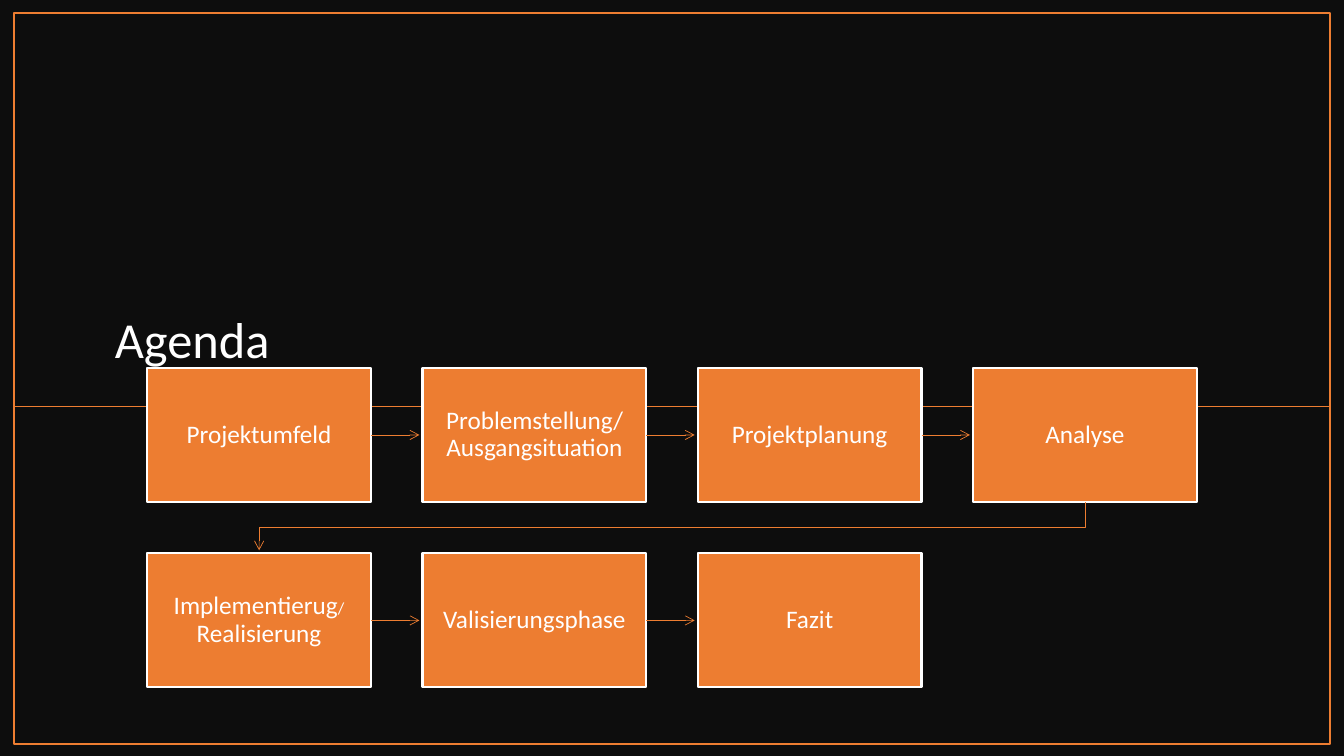
import pptx
import pptx.dml.color
import pptx.enum.shapes
import pptx.enum.text
import pptx.oxml.ns
import pptx.oxml.xmlchemy
import pptx.util

Inches = pptx.util.Inches
Pt = pptx.util.Pt

COLORS = {"background": "0D0D0D", "accent": "ED7D31", "text": "FFFFFF"}
FONT = "Calibri"

COLUMNS = 4
BOX_LEFT, BOX_TOP = 1.46, 3.65
BOX_WIDTH, BOX_HEIGHT = 2.22, 1.33
COLUMN_STEP, ROW_STEP = 2.73, 1.84
ARROW_GAP = 0.03

# Each step is a list of (text, size) runs.
STEPS = [
    [("Projektumfeld", 18)],
    [("Problemstellung/Ausgangsituation", 18)],
    [("Projektplanung", 18)],
    [("Analyse", 18)],
    [("Implementierug", 18), ("/", 12), ("Realisierung", 18)],
    [("Valisierungsphase", 18)],
    [("Fazit", 18)],
]


def rgb(name):
    return pptx.dml.color.RGBColor.from_string(COLORS[name])


def set_line(shape, color, width):
    shape.line.color.rgb = rgb(color)
    shape.line.width = Pt(width)


def add_arrowhead(shape):
    tail = pptx.oxml.xmlchemy.OxmlElement("a:tailEnd")
    tail.set("type", "arrow")
    shape.element.spPr.find(pptx.oxml.ns.qn("a:ln")).append(tail)


def add_runs(paragraph, runs):
    paragraph.line_spacing = 0.9
    for text, size in runs:
        run = paragraph.add_run()
        run.text = text
        run.font.name = FONT
        run.font.size = Pt(size)
        run.font.color.rgb = rgb("text")


def add_rectangle(slide, left, top, width, height, fill=None, line=None, line_width=1):
    shape = slide.shapes.add_shape(
        pptx.enum.shapes.MSO_SHAPE.RECTANGLE,
        Inches(left), Inches(top), Inches(width), Inches(height))
    shape.shadow.inherit = False
    if fill:
        shape.fill.solid()
        shape.fill.fore_color.rgb = rgb(fill)
    else:
        shape.fill.background()
    if line:
        set_line(shape, line, line_width)
    else:
        shape.line.fill.background()
    return shape


def add_line(slide, start, end, width):
    connector = slide.shapes.add_connector(
        pptx.enum.shapes.MSO_CONNECTOR.STRAIGHT,
        Inches(start[0]), Inches(start[1]), Inches(end[0]), Inches(end[1]))
    set_line(connector, "accent", width)
    connector.element.spPr.append(pptx.oxml.xmlchemy.OxmlElement("a:effectLst"))
    return connector


def add_title(slide, text):
    box = slide.shapes.add_textbox(Inches(1.04), Inches(1.88), Inches(11.21), Inches(1.83))
    frame = box.text_frame
    frame.word_wrap = True
    frame.vertical_anchor = pptx.enum.text.MSO_ANCHOR.BOTTOM
    add_runs(frame.paragraphs[0], [(text, 36)])


def box_position(index):
    row, column = divmod(index, COLUMNS)
    return BOX_LEFT + column * COLUMN_STEP, BOX_TOP + row * ROW_STEP


def add_step(slide, index, runs):
    left, top = box_position(index)
    box = add_rectangle(slide, left, top, BOX_WIDTH, BOX_HEIGHT, "accent", "text", 1.5)
    frame = box.text_frame
    frame.word_wrap = True
    frame.vertical_anchor = pptx.enum.text.MSO_ANCHOR.MIDDLE
    frame.margin_left = frame.margin_right = Inches(0.11)
    frame.margin_top = frame.margin_bottom = Inches(0.11)
    paragraph = frame.paragraphs[0]
    paragraph.alignment = pptx.enum.text.PP_ALIGN.CENTER
    add_runs(paragraph, runs)
    return box


def add_row_arrow(slide, index, box):
    """Arrow from a step to its right-hand neighbour."""
    left, top = box_position(index)
    middle = top + BOX_HEIGHT / 2
    arrow = add_line(slide, (left + BOX_WIDTH, middle),
                     (left + COLUMN_STEP - ARROW_GAP, middle), 0.5)
    arrow.begin_connect(box, 3)
    add_arrowhead(arrow)


def add_wrap_arrow(slide, index):
    """Bent arrow from the last step of a row to the first of the next."""
    left, top = box_position(index)
    next_left, next_top = box_position(index + 1)
    start_x, end_x = left + BOX_WIDTH / 2, next_left + BOX_WIDTH / 2
    bottom = top + BOX_HEIGHT
    bend = (bottom + next_top) / 2
    builder = slide.shapes.build_freeform(Inches(start_x), Inches(bottom))
    corners = [(start_x, bend), (end_x, bend), (end_x, next_top - ARROW_GAP)]
    builder.add_line_segments([(Inches(x), Inches(y)) for x, y in corners], close=False)
    arrow = builder.convert_to_shape()
    arrow.shadow.inherit = False
    arrow.fill.background()
    set_line(arrow, "accent", 0.5)
    add_arrowhead(arrow)


def main():
    presentation = pptx.Presentation()
    presentation.slide_width = Inches(13.33)
    presentation.slide_height = Inches(7.5)
    slide = presentation.slides.add_slide(presentation.slide_layouts[6])

    add_rectangle(slide, 0, 0, 13.33, 7.5, fill="background")
    add_title(slide, "Agenda")
    add_rectangle(slide, 0.14, 0.13, 13.05, 7.25, line="accent")
    add_line(slide, (13.19, 4.03), (0.14, 4.03), 1)

    boxes = [add_step(slide, index, runs) for index, runs in enumerate(STEPS)]
    for index, box in enumerate(boxes[:-1]):
        if (index + 1) % COLUMNS:
            add_row_arrow(slide, index, box)
        else:
            add_wrap_arrow(slide, index)

    presentation.save("out.pptx")


if __name__ == "__main__":
    main()
